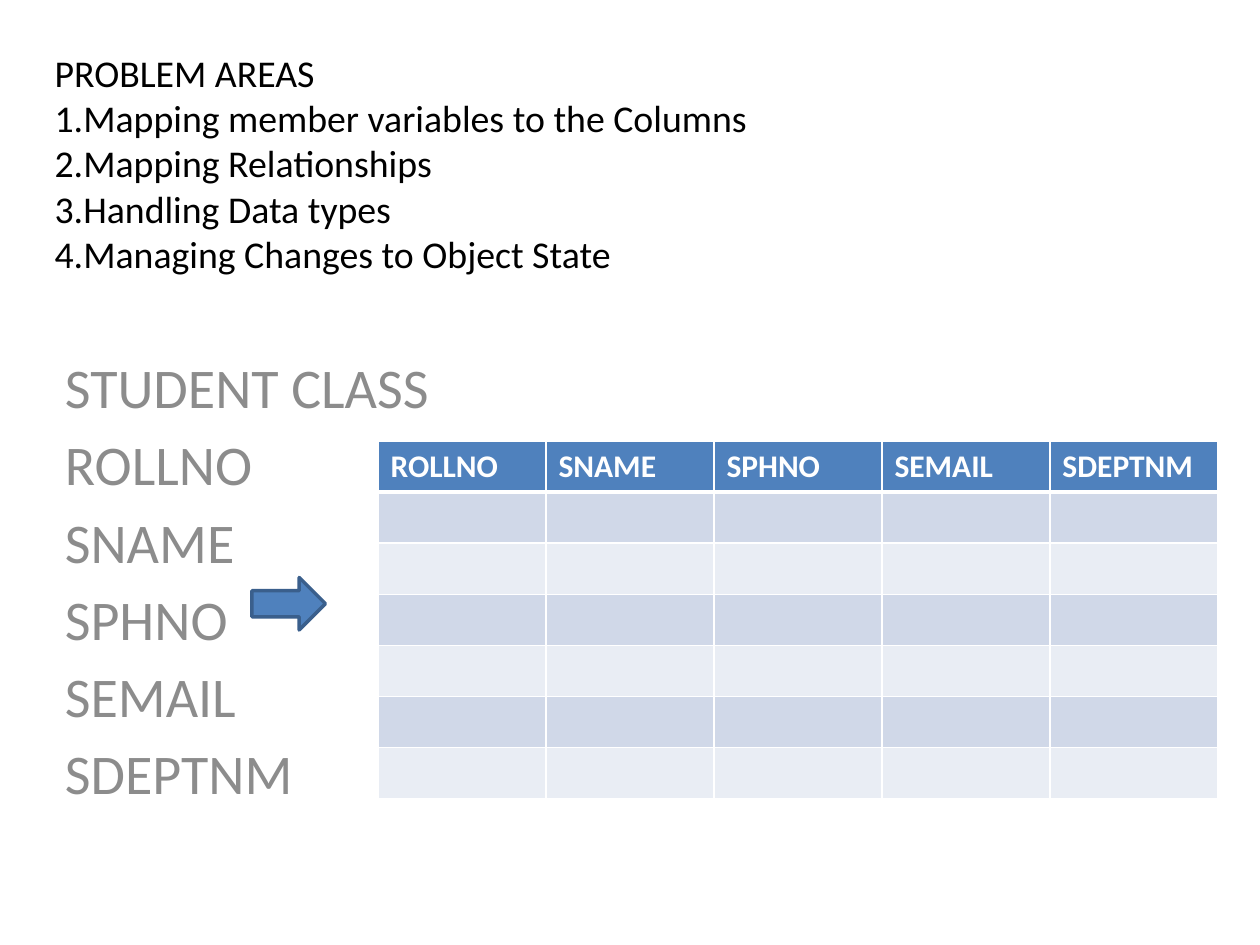
from typing import NamedTuple

from lxml.etree import SubElement
from pptx import Presentation
from pptx.dml.color import RGBColor
from pptx.enum.shapes import MSO_SHAPE
from pptx.enum.text import MSO_ANCHOR, MSO_AUTO_SIZE, PP_ALIGN
from pptx.oxml.ns import qn
from pptx.util import Pt

BLUE, WHITE = "4F81BD", "FFFFFF"
BANDS = ("D0D8E8", "E9EDF4")
FIELDS = ("ROLLNO", "SNAME", "SPHNO", "SEMAIL", "SDEPTNM")
AREAS = (
    "PROBLEM AREAS",
    "1.Mapping member variables to the Columns",
    "2.Mapping Relationships",
    "3.Handling Data types",
    "4.Managing Changes to Object State",
)
ROWS = 7


class Box(NamedTuple):
    left: float
    top: float
    width: float
    height: float

    def lengths(self) -> list:
        return [Pt(v) for v in self]


class Style(NamedTuple):
    size: float
    color: str
    bold: bool = False


def rgb(code: str) -> RGBColor:
    return RGBColor.from_string(code)


def add_run(para, text: str, style: Style) -> None:
    run = para.add_run()
    run.text = text
    font = run.font
    font.name, font.size, font.bold = "Calibri", Pt(style.size), style.bold
    font.color.rgb = rgb(style.color)


def set_fill(item, color: str) -> None:
    item.fill.solid()
    item.fill.fore_color.rgb = rgb(color)


def add_edge(cell, side: str, width: float) -> None:
    line = SubElement(cell._tc.get_or_add_tcPr(), qn(f"a:ln{side}"), w=str(Pt(width)))
    SubElement(SubElement(line, qn("a:solidFill")), qn("a:srgbClr"), val=WHITE)


def draw_title(slide, box: Box) -> None:
    title = slide.shapes.title
    title.left, title.top, title.width, title.height = box.lengths()
    frame = title.text_frame
    frame.word_wrap = True
    frame.auto_size = MSO_AUTO_SIZE.NONE
    frame.vertical_anchor = MSO_ANCHOR.MIDDLE
    para = frame.paragraphs[0]
    para.alignment = PP_ALIGN.LEFT
    for i, area in enumerate(AREAS):
        if i:
            para.add_line_break()
        add_run(para, area, Style(21.6, "000000"))


def draw_class(slide, box: Box) -> None:
    frame = slide.shapes.add_textbox(*box.lengths()).text_frame
    frame.word_wrap = True
    for i, text in enumerate(("STUDENT CLASS", *FIELDS)):
        para = frame.add_paragraph() if i else frame.paragraphs[0]
        para.space_before = Pt(5.7)
        add_run(para, text, Style(32, "8C8C8C"))


def draw_table(slide, box: Box) -> None:
    table = slide.shapes.add_table(ROWS, len(FIELDS), *box.lengths()).table
    for col in table.columns:
        col.width = Pt(box.width / len(FIELDS))
    for r, row in enumerate(table.rows):
        row.height = Pt(box.height / ROWS)
        edges = {"L": 1, "R": 1, "T": 3 if r == 1 else 1, "B": 1 if r else 3}
        for cell, name in zip(row.cells, FIELDS):
            for side, width in edges.items():
                add_edge(cell, side, width)
            set_fill(cell, BANDS[(r - 1) % 2] if r else BLUE)
            if r == 0:
                add_run(cell.text_frame.paragraphs[0], name, Style(18, WHITE, True))


def draw_arrow(slide, box: Box) -> None:
    arrow = slide.shapes.add_shape(MSO_SHAPE.RIGHT_ARROW, *box.lengths())
    arrow.shadow.inherit = False
    set_fill(arrow, BLUE)
    arrow.line.color.rgb = rgb("3A5F8C")
    arrow.line.width = Pt(2)


def main() -> None:
    deck = Presentation()
    deck.slide_width, deck.slide_height = Pt(720), Pt(540)
    slide = deck.slides.add_slide(deck.slide_layouts[5])
    draw_title(slide, Box(24, 30, 612, 126))
    draw_class(slide, Box(30, 198, 672, 294))
    draw_table(slide, Box(216, 252, 480, 204.4))
    draw_arrow(slide, Box(144, 330, 42, 30))
    deck.save("out.pptx")


if __name__ == "__main__":
    main()
